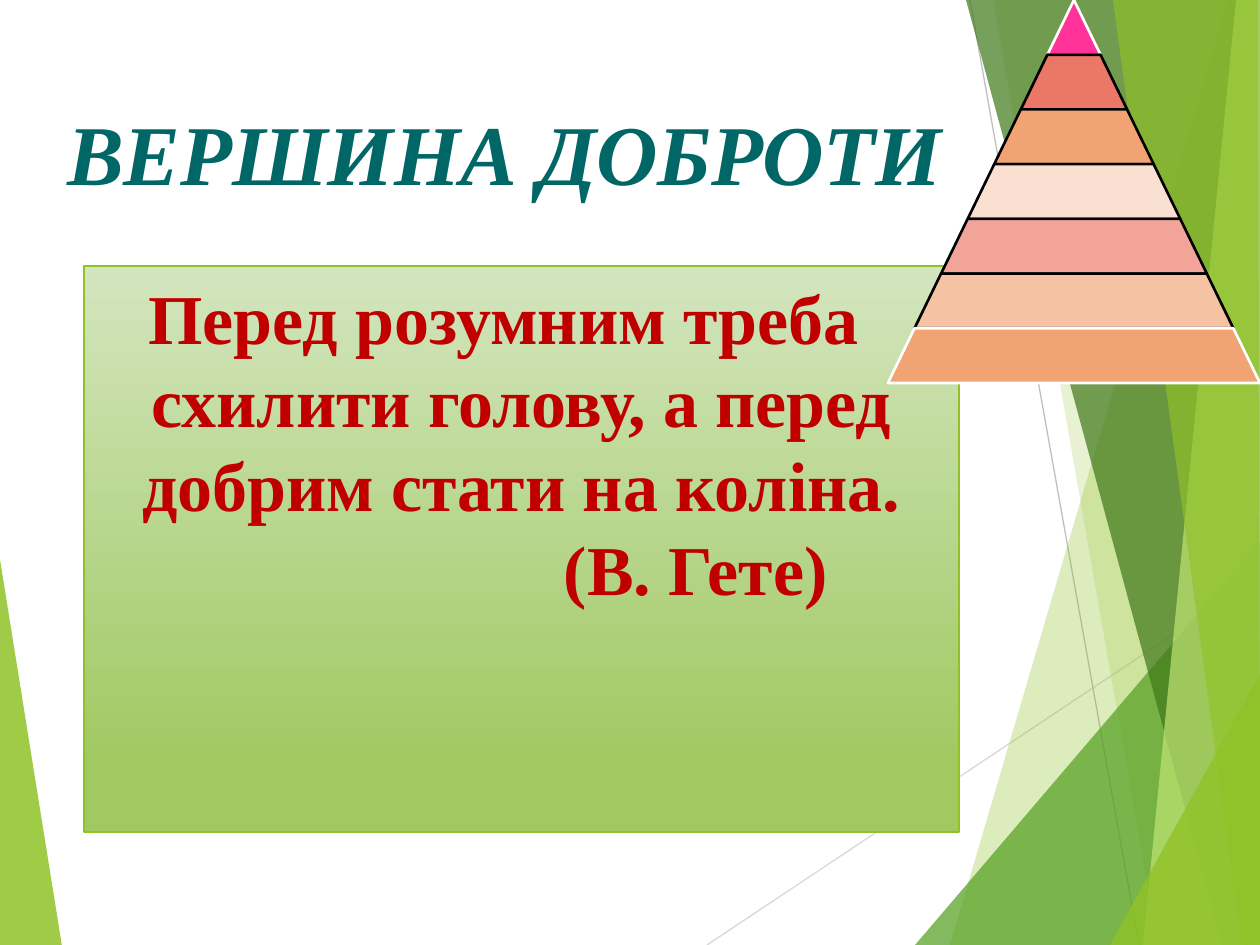
from lxml.etree import SubElement
from pptx import Presentation
from pptx.dml.color import RGBColor
from pptx.enum.shapes import MSO_CONNECTOR as CONN, MSO_SHAPE as SHAPE
from pptx.enum.text import MSO_ANCHOR as ANCHOR, MSO_AUTO_SIZE as AUTO, PP_ALIGN as ALIGN
from pptx.oxml.ns import qn
from pptx.util import Pt

PX = 7257.6
W, H = 1260, 945
FONT = "Times New Roman"
COLORS = {
    "lime": "90C226", "green": "54A021", "forest": "3F7819", "pale": "C0E474",
    "light_gray": "D9D9D9", "gray": "BFBFBF", "teal": "006666", "red": "C00000",
    "grad_top": "D3E5BE", "grad_end": "A0C962", "white": "FFFFFF", "black": "000000",
    "pink": "FF3399", "coral": "EB7766", "orange": "F1A374", "cream": "FAE0D1",
    "rose": "F2A499", "peach": "F5C2A3",
}

LEFT_FACET = [("lime", 85, [(-1, 553), (62, 946), (-1, 945)])]
RIGHT_FACETS = [
    ("lime", 30, [(1228, 0), (950, H), (W, H), (W, 0)]),
    ("lime", 20, [(993, 0), (1158, H), (W, H), (W, 0)]),
    ("green", 72, [(915, H), (W, 541), (W, H)]),
    ("forest", 70, [(966, 0), (1222, H), (W, H), (W, 0)]),
    ("pale", 70, [(1236, 0), (1143, H), (W, H), (W, 0)]),
    ("lime", 65, [(1113, 0), (1242, H), (W, H), (1258, 0)]),
    ("lime", 80, [(1110, H), (W, 674), (W, H)]),
]
RAYS = [("light_gray", (707, H), (1261, 576)), ("gray", (970, 0), (1139, H))]

TITLE = "ВЕРШИНА ДОБРОТИ"
TITLE_BOX = (54, 84, 953, 181)
QUOTE = "Перед розумним треба схилити голову, а перед добрим стати на коліна."
AUTHOR = "(В. Гете)"
QUOTE_BOX = (84, 266, 875, 566)

TIERS = [
    ("pink", "white"), ("coral", "black"), ("orange", "black"), ("cream", "black"),
    ("rose", "black"), ("peach", "black"), ("orange", "white"),
]
PYRAMID_W, PYRAMID_H, PYRAMID_X = 372, 383, 1074


def emu(n):
    return round(n * PX)


def rgb(name):
    return RGBColor.from_string(COLORS[name])


def add_facets(shapes, facets):
    for color, opacity, points in facets:
        fb = shapes.build_freeform(*points[0], scale=PX)
        fb.add_line_segments(points[1:], close=True)
        sp = fb.convert_to_shape()
        sp.shadow.inherit = False
        sp.fill.solid()
        sp.fill.fore_color.rgb = rgb(color)
        clr = sp._element.spPr.find(".//" + qn("a:srgbClr"))
        SubElement(clr, qn("a:alpha"), val=str(opacity * 1000))
        sp.line.fill.background()


def add_rays(shapes):
    for color, start, end in RAYS:
        ray = shapes.add_connector(CONN.STRAIGHT, *map(emu, start + end))
        ray.line.color.rgb = rgb(color)
        ray.line.width = Pt(0.75)
        SubElement(ray._element.spPr, qn("a:effectLst"))


def add_run(p, text, size, color, italic=None):
    r = p.add_run()
    r.text = text
    f = r.font
    f.name, f.size, f.bold, f.italic = FONT, Pt(size), True, italic
    f.color.rgb = rgb(color)


def setup_frame(tf, left, top, right):
    tf.word_wrap = True
    tf.auto_size = AUTO.NONE
    tf.vertical_anchor = ANCHOR.TOP
    tf.margin_left, tf.margin_top, tf.margin_right = emu(left), emu(top), emu(right)


def add_title(shapes):
    title = shapes.title
    title.left, title.top, title.width, title.height = map(emu, TITLE_BOX)
    setup_frame(title.text_frame, 13, 16, 13)
    p = title.text_frame.paragraphs[0]
    p.alignment = ALIGN.LEFT
    add_run(p, TITLE, 48.6, "teal", True)
    shapes._spTree.append(title._element)


def add_quote(shapes):
    sp = shapes.add_shape(SHAPE.RECTANGLE, *map(emu, QUOTE_BOX))
    sp.shadow.inherit = False
    sp.fill.gradient()
    sp.fill.gradient_angle = 270
    stops = [(0, "grad_top"), (0.88, "grad_end")]
    for stop, (position, color) in zip(sp.fill.gradient_stops, stops):
        stop.position = position
        stop.color.rgb = rgb(color)
    sp.line.color.rgb = rgb("lime")
    sp.line.width = Pt(1)
    tf = sp.text_frame
    setup_frame(tf, 13, 8, 49)
    rows = [(QUOTE, ALIGN.CENTER, 36, -36), (AUTHOR, ALIGN.LEFT, 467, 0)]
    for i, (text, align, margin, indent) in enumerate(rows):
        p = tf.add_paragraph() if i else tf.paragraphs[0]
        p.alignment = align
        p.line_spacing = Pt(48)
        pPr = p._p.get_or_add_pPr()
        pPr.set("marL", str(emu(margin)))
        pPr.set("indent", str(emu(indent)))
        add_run(p, text, 40, "red")


def add_pyramid(shapes):
    step_w, step_h = PYRAMID_W / len(TIERS), PYRAMID_H / len(TIERS)
    for i, (fill, line) in enumerate(TIERS):
        width = step_w * (i + 1)
        box = (PYRAMID_X - width / 2, step_h * i, width, step_h)
        sp = shapes.add_shape(SHAPE.TRAPEZOID, *map(emu, box))
        sp.adjustments[0] = step_w / 2 / min(width, step_h)
        sp.shadow.inherit = False
        sp.fill.solid()
        sp.fill.fore_color.rgb = rgb(fill)
        sp.line.color.rgb = rgb(line)
        sp.line.width = Pt(1.5)


def main():
    prs = Presentation()
    prs.slide_width, prs.slide_height = emu(W), emu(H)
    shapes = prs.slides.add_slide(prs.slide_layouts[5]).shapes
    add_facets(shapes, LEFT_FACET)
    add_rays(shapes)
    add_facets(shapes, RIGHT_FACETS)
    add_title(shapes)
    add_quote(shapes)
    add_pyramid(shapes)
    prs.save("out.pptx")


if __name__ == "__main__":
    main()
